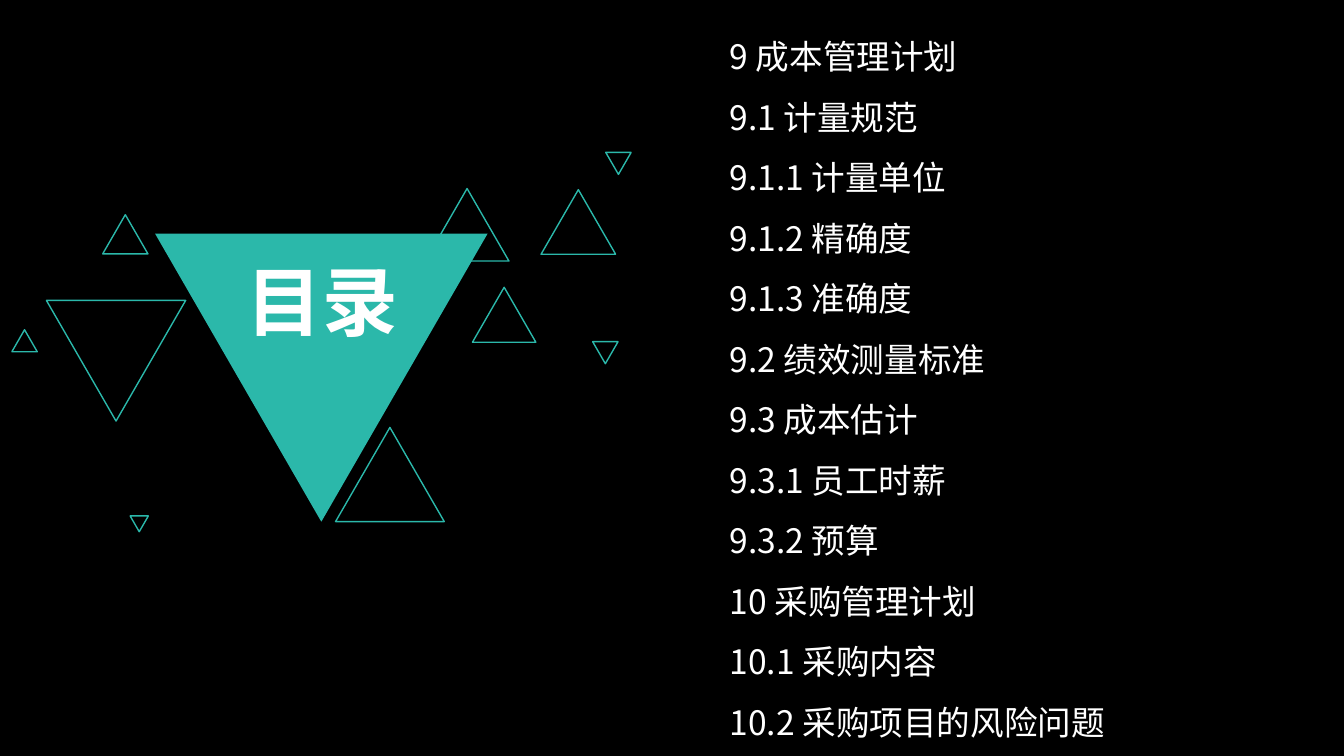
import math

import pptx
import pptx.dml.color
import pptx.enum.shapes
import pptx.enum.text
import pptx.oxml.xmlchemy
import pptx.util

TEAL = pptx.dml.color.RGBColor(0x2B, 0xB8, 0xAA)
WHITE = pptx.dml.color.RGBColor(0xFF, 0xFF, 0xFF)
BLACK = pptx.dml.color.RGBColor(0x00, 0x00, 0x00)
FONT = "Noto Sans CJK SC"

TITLE_FONT = {"name": FONT, "size": pptx.util.Pt(54), "bold": True}
LIST_FONT = {"name": FONT, "size": pptx.util.Pt(24), "bold": False}
TITLE_PARA = {"alignment": pptx.enum.text.PP_ALIGN.CENTER, "line_spacing": 1.0}
LIST_PARA = {
    "alignment": pptx.enum.text.PP_ALIGN.LEFT,
    "line_spacing": 1.5,
    "space_before": pptx.util.Pt(0),
}
FRAME = {
    "word_wrap": True,
    "auto_size": pptx.enum.text.MSO_AUTO_SIZE.SHAPE_TO_FIT_TEXT,
    "vertical_anchor": pptx.enum.text.MSO_ANCHOR.TOP,
}

OUTLINES = [
    (1.17, 7.57, 3.51, True),
    (8.46, 10.77, 2.74, False),
    (10.72, 4.75, 2.11, False),
    (11.91, 7.24, 1.6, False),
    (2.59, 5.41, 1.14, False),
    (0.3, 8.31, 0.64, False),
    (14.94, 8.61, 0.64, True),
    (3.28, 13, 0.46, True),
    (13.64, 4.78, 1.88, False),
    (15.27, 3.84, 0.64, True),
]
CONTENTS = [
    "9 成本管理计划",
    "9.1 计量规范",
    "9.1.1 计量单位",
    "9.1.2 精确度",
    "9.1.3 准确度",
    "9.2 绩效测量标准",
    "9.3 成本估计",
    "9.3.1 员工时薪",
    "9.3.2 预算",
    "10 采购管理计划",
    "10.1 采购内容",
    "10.2 采购项目的风险问题",
]


def set_attrs(obj, values):
    """Set every attribute named in a dict of format values."""
    for name, value in values.items():
        setattr(obj, name, value)


def add_triangle(s, left, top, width, inverted, filled=False):
    """Add an equilateral triangle, either filled or outlined."""
    height = width * math.sqrt(3) / 2
    sp = s.shapes.add_shape(
        pptx.enum.shapes.MSO_SHAPE.ISOSCELES_TRIANGLE,
        *map(pptx.util.Cm, (left, top, width, height)),
    )
    sp.shadow.inherit = False
    sp.rotation = 180 if inverted else 0
    if filled:
        sp.fill.solid()
        sp.fill.fore_color.rgb = TEAL
        sp.line.fill.background()
    else:
        sp.fill.background()
        sp.line.color.rgb = TEAL
        sp.line.width = pptx.util.Pt(1)


def fill_placeholder(s, sp, box, lines, para, font):
    """Move a placeholder to the front and fill it with formatted lines."""
    s.shapes._spTree.append(sp._element)
    lengths = map(pptx.util.Cm, box)
    set_attrs(sp, dict(zip(("left", "top", "width", "height"), lengths)))
    tf = sp.text_frame
    tf.text = "\n".join(lines)
    set_attrs(tf, FRAME)
    for p in tf.paragraphs:
        set_attrs(p, para)
        ppr = p._p.get_or_add_pPr()
        ppr.set("marL", "0")
        ppr.set("indent", "0")
        ppr.append(pptx.oxml.xmlchemy.OxmlElement("a:buNone"))
        for r in p.runs:
            set_attrs(r.font, font)
            r.font.color.rgb = WHITE
            ea = pptx.oxml.xmlchemy.OxmlElement("a:ea")
            ea.set("typeface", FONT)
            r._r.get_or_add_rPr().append(ea)


def main():
    """Build the contents slide and save it."""
    prs = pptx.Presentation()
    size = {"slide_width": pptx.util.Cm(33.88), "slide_height": pptx.util.Cm(19.05)}
    set_attrs(prs, size)
    s = prs.slides.add_slide(prs.slide_layouts[1])
    s.background.fill.solid()
    s.background.fill.fore_color.rgb = BLACK
    add_triangle(s, 3.91, 5.89, 8.38, True, filled=True)
    for outline in OUTLINES:
        add_triangle(s, *outline)
    title, body = s.placeholders
    fill_placeholder(s, title, (1.73, 6.3, 12.78, 2.57), ["目录"],
                     TITLE_PARA, TITLE_FONT)
    fill_placeholder(s, body, (18.14, 0.28, 13.36, 20.09), CONTENTS,
                     LIST_PARA, LIST_FONT)
    prs.save("out.pptx")


if __name__ == "__main__":
    main()
